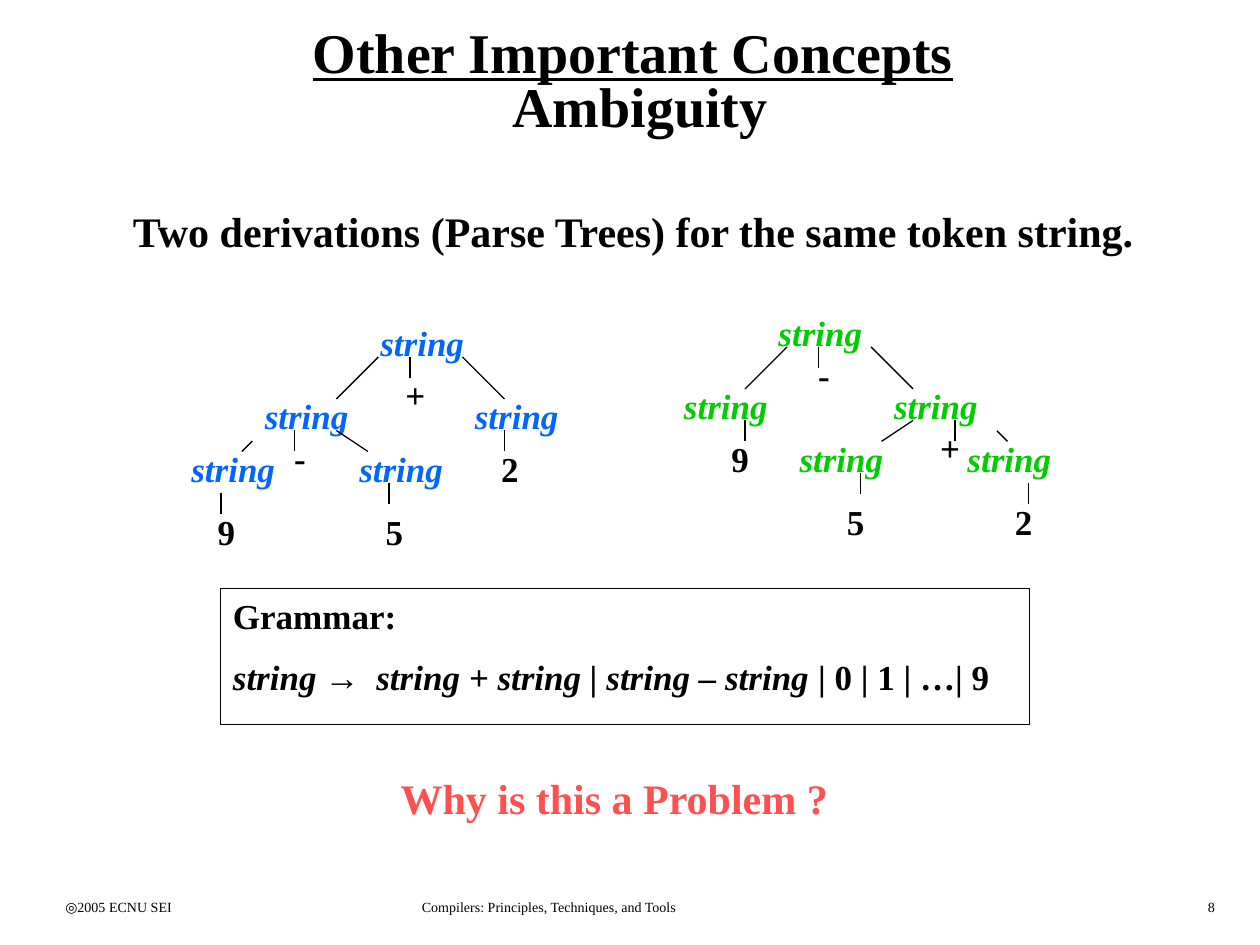
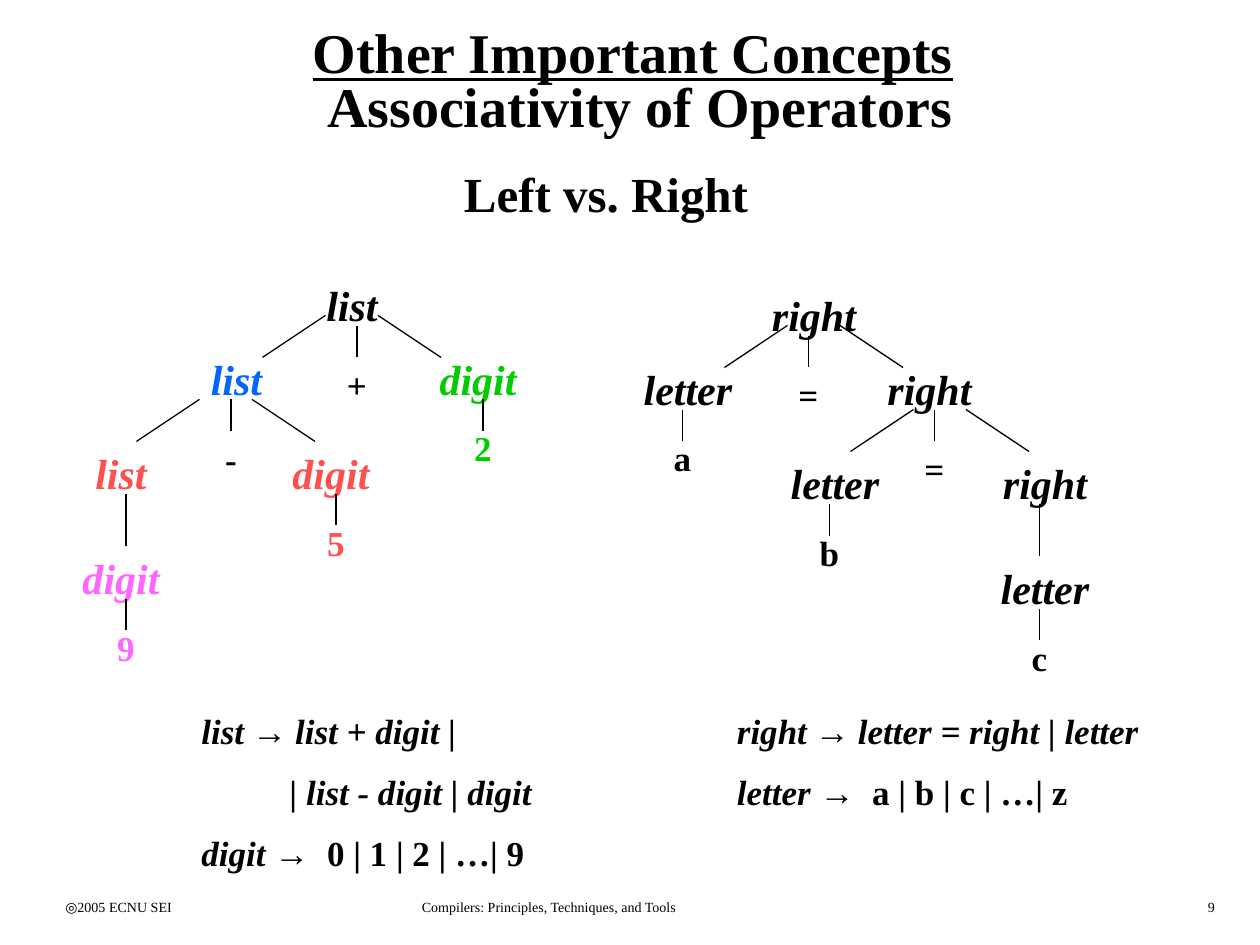
from lxml import etree
from pptx import Presentation
from pptx.dml.color import RGBColor
from pptx.enum.shapes import MSO_CONNECTOR as CONN, MSO_SHAPE as SHAPE
from pptx.enum.text import MSO_ANCHOR as ANCHOR, PP_ALIGN as ALIGN
from pptx.oxml.ns import qn
from pptx.util import Inches, Pt

BLACK = RGBColor(0x00, 0x00, 0x00)
BLUE = RGBColor(0x00, 0x66, 0xFF)
GREEN = RGBColor(0x00, 0xCC, 0x00)
RED = RGBColor(0xFF, 0x50, 0x50)
PINK = RGBColor(0xFF, 0x66, 0xFF)
FONT = "Times New Roman"
GRID = 1 / 12
ITALIC = {"italic": True}
SMALL = {"size": 18}


def add_run(p, text, size=20, color=BLACK, bold=True, italic=False, underline=False):
    r = p.add_run()
    r.text = text
    font = r.font
    font.name = FONT
    font.size = Pt(size)
    font.color.rgb = color
    font.bold = bold
    font.italic = italic
    font.underline = underline


def add_text(s, box, text, align=ALIGN.LEFT, wrap=True, **fmt):
    tf = s.shapes.add_textbox(*map(Inches, box)).text_frame
    tf.word_wrap = wrap
    p = tf.paragraphs[0]
    p.alignment = align
    add_run(p, text, **fmt)


def add_rules(s, box, rules, indents=()):
    tf = s.shapes.add_textbox(*map(Inches, box)).text_frame
    tf.word_wrap = True
    for i, runs in enumerate(rules):
        p = tf.add_paragraph() if i else tf.paragraphs[0]
        if i:
            p.space_before = Pt(11)
        if i in indents:
            p._p.get_or_add_pPr().set("marL", str(Inches(0.7)))
        for text, fmt in runs:
            add_run(p, text, **fmt)


def add_line(s, x1, y1, x2, y2):
    line = s.shapes.add_connector(CONN.STRAIGHT, *map(Inches, (x1, y1, x2, y2)))
    line.line.color.rgb = BLACK
    line.line.width = Pt(0.75)
    etree.SubElement(line._element.spPr, qn("a:effectLst"))


def add_tree(s, left, top, symbols, leaves, edges, size=24, leaf_width=0.5,
             align=ALIGN.CENTER):
    def place(col, row):
        return left + col * GRID, top + row * GRID

    for text, col, row, color in symbols:
        add_text(s, (*place(col, row), 0.92, 0.5 if size == 24 else 0.43), text,
                 align=align, size=size, color=color, italic=True)
    for text, col, row, color in leaves:
        add_text(s, (*place(col, row), leaf_width, 0.43), text,
                 align=ALIGN.CENTER, color=color)
    for x1, y1, x2, y2 in edges:
        add_line(s, *place(x1, y1), *place(x2, y2))


def add_title(s, topic):
    sp = s.shapes.title
    sp.left, sp.top, sp.width, sp.height = map(Inches, (0.58, 0.17, 9, 1))
    tf = sp.text_frame
    tf.vertical_anchor = ANCHOR.MIDDLE
    p = tf.paragraphs[0]
    p.alignment = ALIGN.CENTER
    p.line_spacing = 0.8
    add_run(p, "Other Important Concepts", size=32, underline=True)
    add_run(p, " ", size=32)
    p.add_line_break()
    add_run(p, topic, size=32)


def add_footer(s, number):
    for left, width, text, align in (
        (0.42, 2.07, "◎2005 ECNU SEI", ALIGN.LEFT),
        (3.25, 3.73, "Compilers: Principles, Techniques, and Tools", ALIGN.LEFT),
        (7.67, 2.07, str(number), ALIGN.RIGHT),
    ):
        add_text(s, (left, 7.08, width, 0.25), text, align=align, size=8, bold=False)


def new_slide(prs, topic, number):
    s = prs.slides.add_slide(prs.slide_layouts[5])
    add_title(s, topic)
    add_footer(s, number)
    return s


def add_string_tree(s, left, top, color, places, leaves, edges):
    symbols = [("string", col, row, color) for col, row in places]
    leaves = [(*leaf, BLACK) for leaf in leaves]
    add_tree(s, left, top, symbols, leaves, edges, size=20, leaf_width=0.42,
             align=ALIGN.LEFT)


def add_grammar_box(s, left, top):
    frame = s.shapes.add_shape(SHAPE.RECTANGLE, *map(Inches, (left, top, 6.42, 1.08)))
    frame.shadow.inherit = False
    frame.fill.background()
    frame.line.color.rgb = BLACK
    frame.line.width = Pt(0.75)
    add_rules(s, (left, top, 6.25, 0.93), [
        [("Grammar:", {})],
        [("string", ITALIC), (" ", SMALL), ("→", {}), (" ", SMALL), (" ", {}),
         ("string + string | string – string", ITALIC), (" | 0 | 1 | …| 9", {})],
    ])


def ambiguity_slide(prs):
    s = new_slide(prs, "Ambiguity", 8)
    add_text(s, (0.92, 1.58, 8.21, 0.5),
             "Two derivations (Parse Trees) for the same token string.",
             align=ALIGN.CENTER, wrap=False, size=24)
    add_string_tree(
        s, 1.42, 2.5, BLUE,
        [(18, 0), (7, 7), (27, 7), (0, 12), (16, 12)],
        [("+", 20, 5), ("-", 9, 11), ("2", 29, 12), ("9", 2, 18), ("5", 18, 18)],
        [(19, 4, 15, 8), (22, 4, 22, 6), (27, 4, 31, 8),
         (7, 12, 6, 13), (11, 11, 11, 13), (15, 11, 18, 13),
         (31, 11, 31, 13), (4, 17, 4, 19), (20, 16, 20, 18)])
    add_string_tree(
        s, 5.33, 2.42, GREEN,
        [(9, 0), (0, 7), (20, 7), (11, 12), (27, 12)],
        [("-", 12, 4), ("+", 24, 11), ("9", 4, 12), ("5", 15, 18), ("2", 31, 18)],
        [(11, 4, 7, 8), (14, 4, 14, 6), (19, 4, 23, 8),
         (23, 11, 20, 13), (27, 11, 27, 13), (31, 12, 32, 13),
         (7, 11, 7, 13), (18, 16, 18, 18), (34, 17, 34, 19)])
    add_grammar_box(s, 1.75, 4.67)
    add_text(s, (2.5, 6.08, 4.75, 0.5), "Why is this a Problem ?",
             align=ALIGN.CENTER, size=24, color=RED)


def associativity_slide(prs):
    s = new_slide(prs, "Associativity of Operators", 9)
    add_text(s, (3.58, 1.25, 2.46, 0.57), "Left vs. Right",
             align=ALIGN.CENTER, wrap=False, size=28)
    add_tree(
        s, 0.5, 2.17,
        [("list", 22, 0, BLACK), ("list", 11, 7, BLUE), ("digit", 34, 7, GREEN),
         ("list", 0, 16, RED), ("digit", 20, 16, RED), ("digit", 0, 26, PINK)],
        [("+", 25, 8, BLACK), ("-", 13, 15, BLACK), ("2", 37, 14, GREEN),
         ("5", 23, 23, RED), ("9", 3, 33, PINK)],
        [(25, 4, 19, 8), (28, 5, 28, 8), (30, 4, 36, 8),
         (13, 12, 7, 16), (16, 12, 16, 15), (18, 12, 24, 16),
         (40, 12, 40, 15), (26, 21, 26, 24), (6, 21, 6, 26), (6, 31, 6, 34)])
    add_tree(
        s, 5, 2.25,
        [("right", 12, 0, BLACK), ("letter", 0, 7, BLACK), ("right", 23, 7, BLACK),
         ("letter", 14, 16, BLACK), ("right", 34, 16, BLACK),
         ("letter", 34, 26, BLACK)],
        [("=", 14, 8, BLACK), ("=", 26, 15, BLACK), ("a", 2, 14, BLACK),
         ("b", 16, 23, BLACK), ("c", 36, 33, BLACK)],
        [(15, 4, 9, 8), (17, 5, 17, 8), (20, 4, 26, 8),
         (27, 12, 21, 16), (29, 12, 29, 15), (32, 12, 38, 16),
         (5, 12, 5, 15), (19, 21, 19, 24), (39, 21, 39, 26), (39, 31, 39, 34)])
    arrow = [(" ", SMALL), ("→", {}), (" ", SMALL)]
    add_rules(s, (1.5, 5.58, 3.42, 1.43), [
        [("list", ITALIC), *arrow, ("list + digit |", ITALIC)],
        [("| list - digit | digit", ITALIC)],
        [("digit ", ITALIC), ("→  0 | 1 | 2 | …| 9", {})],
    ], indents=(1,))
    add_rules(s, (5.75, 5.58, 3.42, 0.93), [
        [("right", ITALIC), *arrow, ("letter = right | letter", ITALIC)],
        [("letter ", ITALIC), ("→  a | b | c | …| z", {})],
    ])


def main():
    prs = Presentation()
    prs.slide_width, prs.slide_height = Inches(10), Inches(7.5)
    ambiguity_slide(prs)
    associativity_slide(prs)
    prs.save("out.pptx")


if __name__ == "__main__":
    main()
